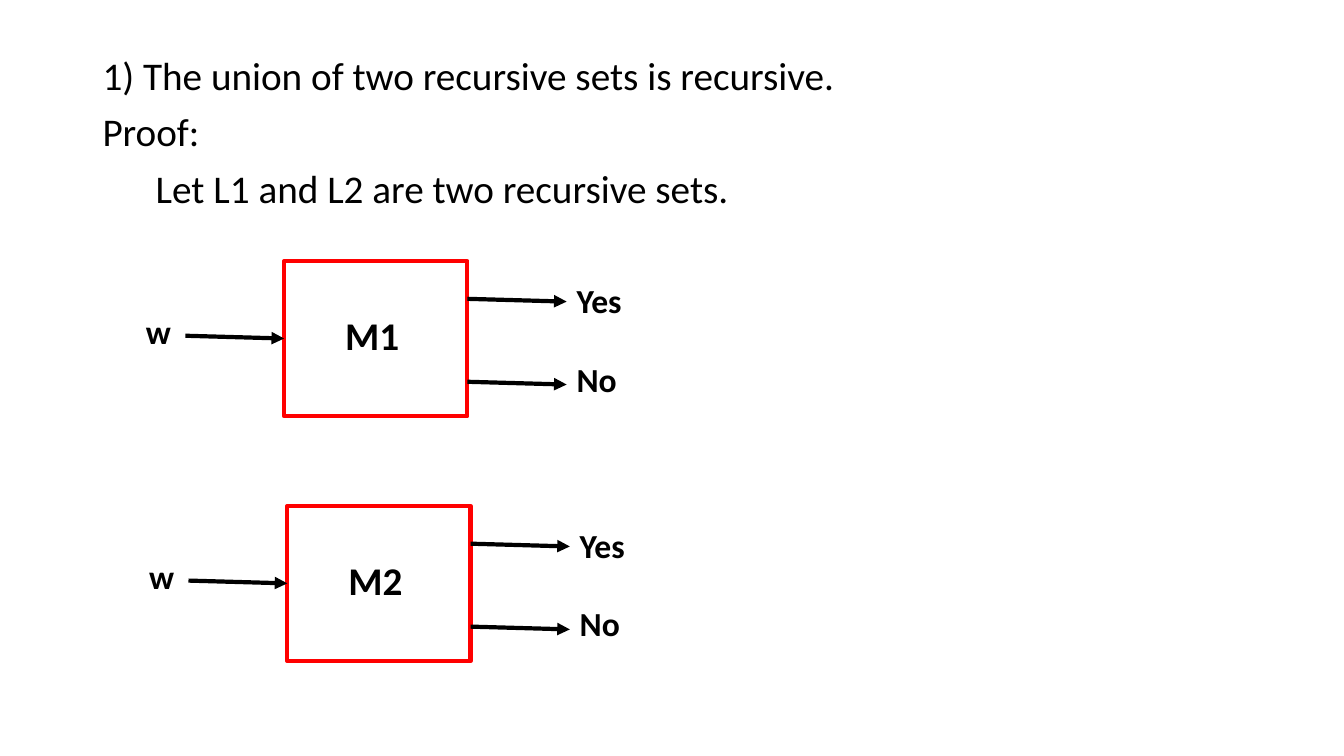
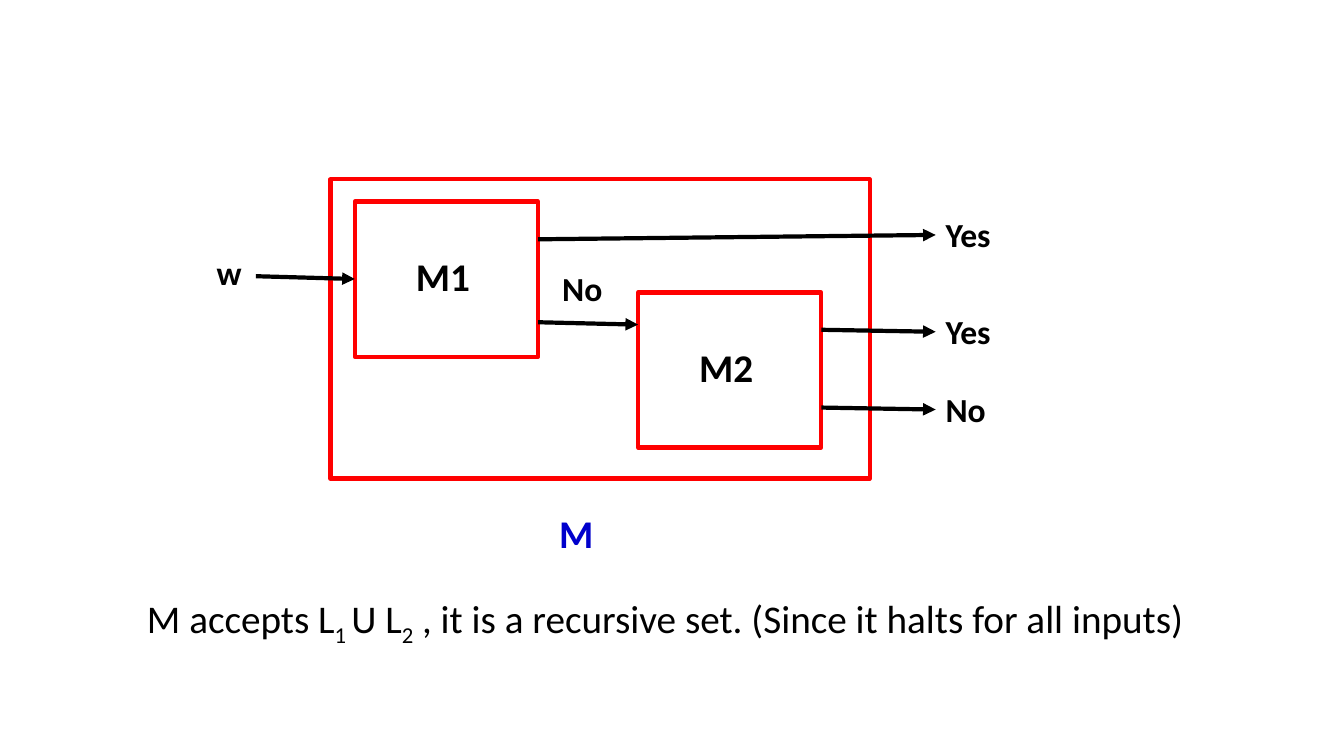
from lxml import etree
from pptx import Presentation
from pptx.dml.color import RGBColor
from pptx.enum.shapes import MSO_CONNECTOR, MSO_SHAPE
from pptx.enum.text import MSO_ANCHOR, MSO_AUTO_SIZE, PP_ALIGN
from pptx.oxml.ns import qn
from pptx.util import Cm, Pt

RECT = MSO_SHAPE.RECTANGLE
STRAIGHT = MSO_CONNECTOR.STRAIGHT
CENTER = PP_ALIGN.CENTER
TOP, MIDDLE = MSO_ANCHOR.TOP, MSO_ANCHOR.MIDDLE
NO_AUTOFIT = MSO_AUTO_SIZE.NONE

BLACK = RGBColor(0x00, 0x00, 0x00)
RED = RGBColor(0xFF, 0x00, 0x00)
BLUE = RGBColor(0x00, 0x00, 0xCC)
FONT = "Calibri"
LARGE, SMALL = 28, 24
STROKE = Pt(3)
BOX_W, BOX_H = 4.62, 3.91


def style(font, size, color=BLACK, bold=False):
    font.name = FONT
    font.size = Pt(size)
    font.bold = bold
    font.color.rgb = color


def new_slide(prs):
    s = prs.slides.add_slide(prs.slide_layouts[1])
    title = s.shapes.title
    title.element.getparent().remove(title.element)
    return s


def body(s, x, y, w, h, lines, anchor=TOP):
    sp = s.placeholders[1]
    sp.left, sp.top, sp.width, sp.height = Cm(x), Cm(y), Cm(w), Cm(h)
    tf = sp.text_frame
    tf.word_wrap = True
    tf.auto_size = NO_AUTOFIT
    tf.vertical_anchor = anchor
    for i, (runs, indent) in enumerate(lines):
        p = tf.paragraphs[0] if i == 0 else tf.add_paragraph()
        p.line_spacing = 0.9
        p.space_before = Pt(10 if i else 0)
        pPr = p._p.get_or_add_pPr()
        pPr.set("marL", str(Cm(indent)))
        pPr.set("indent", "0")
        etree.SubElement(pPr, qn("a:buNone"))
        for text, subscript in runs:
            r = p.add_run()
            r.text = text
            style(r.font, LARGE)
            if subscript:
                r.font._element.set("baseline", "-25000")


def frame(s, x, y, w, h):
    sp = s.shapes.add_shape(RECT, Cm(x), Cm(y), Cm(w), Cm(h))
    sp.shadow.inherit = False
    sp.fill.background()
    sp.line.color.rgb = RED
    sp.line.width = STROKE
    return sp


def machine(s, name, x, y):
    tf = frame(s, x, y, BOX_W, BOX_H).text_frame
    tf.margin_left = tf.margin_top = 0
    tf.margin_right = tf.margin_bottom = Cm(0.18)
    tf.vertical_anchor = MIDDLE
    tf.text = name
    p = tf.paragraphs[0]
    p.alignment = CENTER
    style(p.runs[0].font, LARGE, bold=True)


def label(s, text, x, y, w=2.18, h=1.27, size=SMALL, color=BLACK):
    tf = s.shapes.add_textbox(Cm(x), Cm(y), Cm(w), Cm(h)).text_frame
    tf.word_wrap = True
    tf.text = text
    style(tf.paragraphs[0].runs[0].font, size, color, bold=True)


def arrow(s, x1, y1, x2, y2):
    cn = s.shapes.add_connector(STRAIGHT, Cm(x1), Cm(y1), Cm(x2), Cm(y2))
    cn.line.color.rgb = BLACK
    cn.line.width = STROKE
    etree.SubElement(cn.line._get_or_add_ln(), qn("a:tailEnd"), type="triangle")
    etree.SubElement(cn._element.spPr, qn("a:effectLst"))


def word_input(s, x, y):
    label(s, "w", x - 3.73, y + 1.14, w=1.09)
    arrow(s, x - 2.49, y + 1.88, x, y + 1.95)


def output(s, text, x1, y1, x2, y2, rise=0.65):
    arrow(s, x1, y1, x2, y2)
    label(s, text, x2, y2 - rise)


def separate_machines(prs):
    s = new_slide(prs)
    body(s, 2.33, 1.3, 29.21, 4.8, [
        ([("1) The union of two recursive sets is recursive.", False)], 0),
        ([("Proof:", False)], 0),
        ([("Let L1 and L2 are two recursive sets.", False)], 1.34),
    ])
    for name, x, y in [("M1", 7.16, 6.58), ("M2", 7.24, 12.75)]:
        machine(s, name, x, y)
        word_input(s, x, y)
        for text, dy, rise in [("Yes", 0.95, 0.67), ("No", 3.04, 0.78)]:
            output(s, text, x + BOX_W, y + dy, x + 7.12, y + dy + 0.07, rise)


def combined_machine(prs):
    s = new_slide(prs)
    body(s, 3.45, 14.9, 27.5, 1.4, [
        ([("M accepts L", False), ("1 ", True), ("U L", False), ("2", True),
          (" , it is a recursive set. (Since it halts for all inputs)", False)], 0),
    ], MIDDLE)
    frame(s, 8.33, 4.52, 13.59, 7.54)
    x1, y1 = 8.94, 5.08
    x2, y2 = 16.08, 7.37
    out_x = 23.58
    machine(s, "M1", x1, y1)
    machine(s, "M2", x2, y2)
    word_input(s, x1, y1)
    output(s, "Yes", x1 + BOX_W, y1 + 0.95, out_x, 5.92)
    arrow(s, x1 + BOX_W, y1 + 3.04, x2, 8.18)
    label(s, "No", 13.92, 6.63)
    for text, dy in [("Yes", 0.94), ("No", 2.9)]:
        output(s, text, x2 + BOX_W, y2 + dy, out_x, y2 + dy + 0.05)
    label(s, "M", 13.84, 12.7, w=1.63, h=1.45, size=LARGE, color=BLUE)


def main():
    prs = Presentation()
    prs.slide_width, prs.slide_height = Cm(33.87), Cm(19.05)
    separate_machines(prs)
    combined_machine(prs)
    prs.save("out.pptx")


if __name__ == "__main__":
    main()
